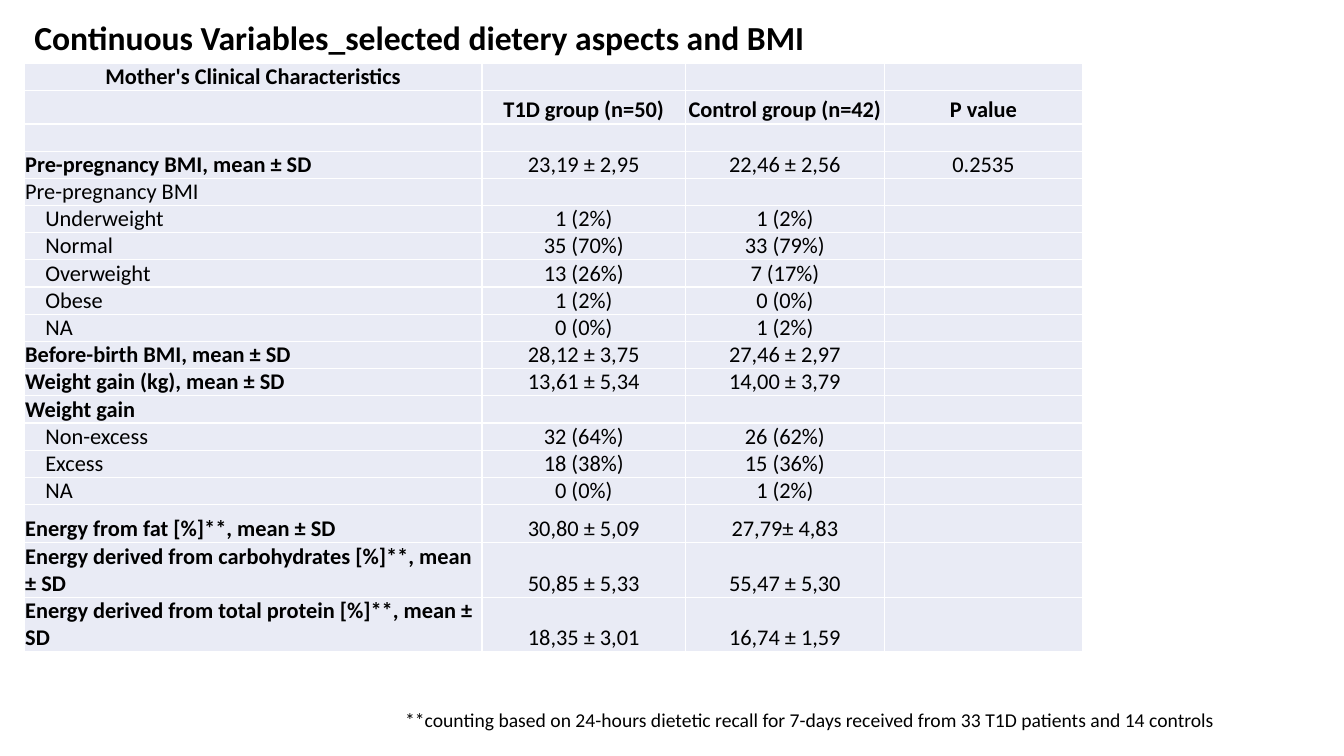
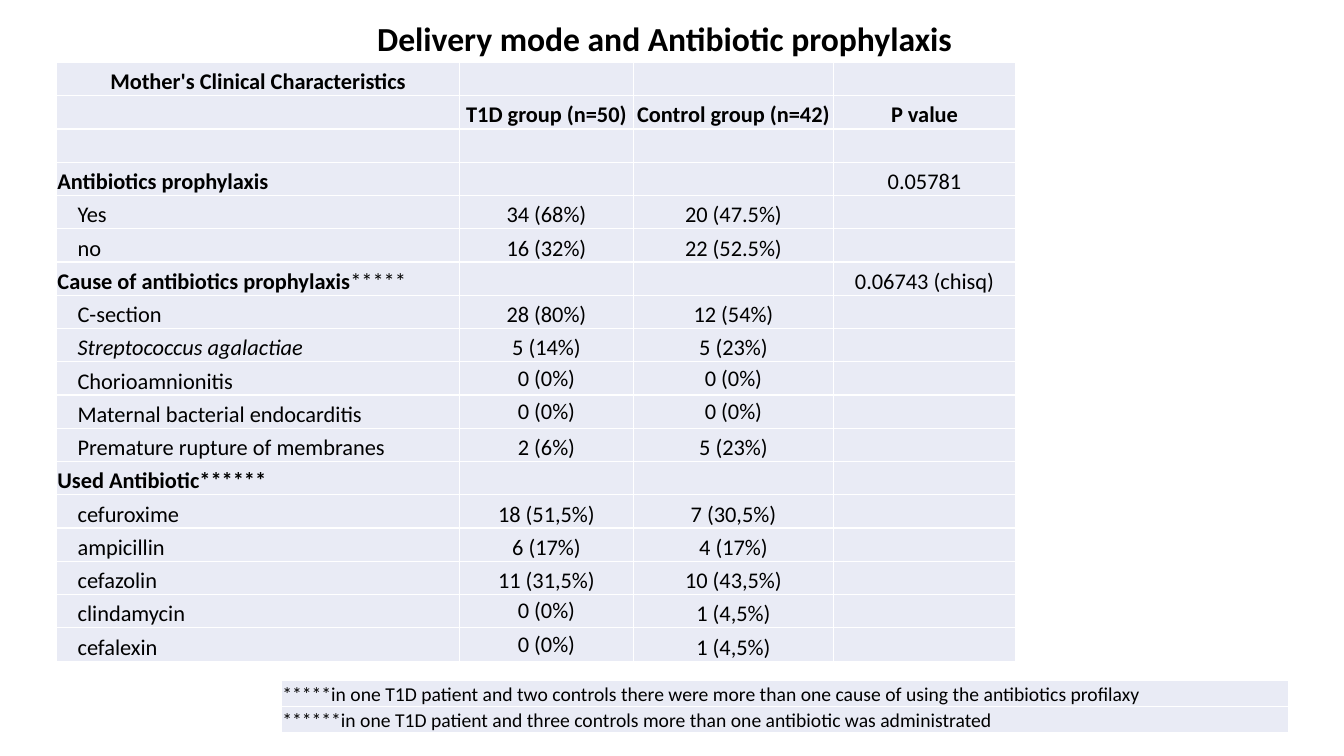
"""Build two slides of clinical tables comparing T1D mothers with controls."""
from dataclasses import dataclass
from typing import Any, NamedTuple

import pptx
import pptx.dml.color
import pptx.enum.text
import pptx.oxml
import pptx.oxml.ns
import pptx.util

EMU_PER_PX = 9144
FONT_NAME = "Calibri"
BLACK = "000000"
WHITE = "FFFFFF"
CELL_FILL = "E9EBF5"
TITLE_LAYOUT = 5
LINE_HEIGHT = 27
CELL_INSET = 1
INDENT_INSET = 21
ZERO_COUNT = "0 (0%)"

ALIGN = pptx.enum.text.PP_ALIGN
ANCHOR = pptx.enum.text.MSO_ANCHOR
AUTO_SIZE = pptx.enum.text.MSO_AUTO_SIZE


class Box(NamedTuple):
    left: int
    top: int
    width: int
    height: int


@dataclass(frozen=True)
class Row:
    label: str = ""
    t1d: str = ""
    control: str = ""
    p_value: str = ""
    bold: bool = False
    italic: bool = False
    indent: bool = False
    suffix: str = ""
    height: int = LINE_HEIGHT


@dataclass(frozen=True)
class ClinicalTable:
    left: int
    top: int
    columns: tuple[int, ...]
    rows: list[Row]
    zero_anchor: Any = ANCHOR.BOTTOM


def heading(label: str, p_value: str = "", **extra: Any) -> Row:
    return Row(label, p_value=p_value, bold=True, **extra)


def measure(label: str, t1d: str, control: str, p_value: str = "", height: int = LINE_HEIGHT) -> Row:
    return Row(label, t1d, control, p_value, bold=True, height=height)


def count(label: str, t1d: str, control: str, italic: bool = False, height: int = LINE_HEIGHT) -> Row:
    return Row(label, t1d, control, italic=italic, indent=True, height=height)


HEADER_LABEL = "Mother's Clinical Characteristics"
HEADER_CELLS = ("", "T1D group (n=50)", "Control group (n=42)", "P value")

BMI_TABLE = ClinicalTable(24, 63, (454, 202, 197, 197), [
    measure("Pre-pregnancy BMI, mean ± SD", "23,19 ± 2,95", "22,46 ± 2,56", "0.2535"),
    Row("Pre-pregnancy BMI"),
    count("Underweight", "1 (2%)", "1 (2%)"),
    count("Normal", "35 (70%)", "33 (79%)"),
    count("Overweight", "13 (26%)", "7 (17%)"),
    count("Obese", "1 (2%)", ZERO_COUNT),
    count("NA", ZERO_COUNT, "1 (2%)"),
    measure("Before-birth BMI, mean ± SD", "28,12 ± 3,75", "27,46 ± 2,97"),
    measure("Weight gain (kg), mean ± SD", "13,61 ± 5,34", "14,00 ± 3,79"),
    heading("Weight gain"),
    count("Non-excess", "32 (64%)", "26 (62%)"),
    count("Excess", "18 (38%)", "15 (36%)"),
    count("NA", ZERO_COUNT, "1 (2%)"),
    measure("Energy from fat [%]**, mean ± SD", "30,80 ± 5,09", "27,79± 4,83", height=38),
    measure("Energy derived from carbohydrates [%]**, mean ± SD",
            "50,85 ± 5,33", "55,47 ± 5,30", height=2 * LINE_HEIGHT),
    measure("Energy derived from total protein [%]**, mean ± SD",
            "18,35 ± 3,01", "16,74 ± 1,59", height=2 * LINE_HEIGHT),
])

ROOMY = 33
ANTIBIOTIC_TABLE = ClinicalTable(56, 62, (400, 172, 199, 180), [
    heading("Antibiotics prophylaxis", "0.05781", height=ROOMY),
    count("Yes", "34 (68%)", "20 (47.5%)", height=ROOMY),
    count("no", "16 (32%)", "22 (52.5%)", height=ROOMY),
    heading("Cause of antibiotics prophylaxis", "0.06743 (chisq)", suffix="*****", height=ROOMY),
    count("C-section", "28 (80%)", "12 (54%)", height=ROOMY),
    count("Streptococcus agalactiae", "5 (14%)", "5 (23%)", italic=True, height=ROOMY),
    count("Chorioamnionitis", ZERO_COUNT, ZERO_COUNT, height=ROOMY),
    count("Maternal bacterial endocarditis", ZERO_COUNT, ZERO_COUNT, height=ROOMY),
    count("Premature rupture of membranes", "2 (6%)", "5 (23%)", height=ROOMY),
    heading("Used Antibiotic******", height=ROOMY),
    count("cefuroxime", "18 (51,5%)", "7 (30,5%)", height=ROOMY),
    count("ampicillin", "6 (17%)", "4 (17%)", height=ROOMY),
    count("cefazolin", "11 (31,5%)", "10 (43,5%)", height=ROOMY),
    count("clindamycin", ZERO_COUNT, "1 (4,5%)", height=ROOMY),
    count("cefalexin", ZERO_COUNT, "1 (4,5%)", height=ROOMY),
], ANCHOR.MIDDLE)

FOOTNOTES = (
    "*****in one T1D patient and two controls there were more than one cause of using the antibiotics profilaxy",
    "******in one T1D patient and three controls more than one antibiotic was administrated",
)


def px(length: int) -> pptx.util.Emu:
    return pptx.util.Emu(length * EMU_PER_PX)


def color(value: str) -> pptx.dml.color.RGBColor:
    return pptx.dml.color.RGBColor.from_string(value)


def apply_format(target: Any, values: dict[str, Any]) -> None:
    for name, value in values.items():
        setattr(target, name, value)


def place(shape: Any, box: Box) -> None:
    apply_format(shape, {name: px(length) for name, length in box._asdict().items()})


def add_run(paragraph: Any, text: str, size: int, bold: bool = False, italic: bool = False) -> None:
    run = paragraph.add_run()
    run.text = text
    apply_format(run.font, {"name": FONT_NAME, "size": pptx.util.Pt(size), "bold": bold, "italic": italic})
    run.font.color.rgb = color(BLACK)


def fill_text(shape: Any, box: Box, text: str, size: int, bold: bool = False) -> None:
    place(shape, box)
    apply_format(shape.text_frame, {
        "word_wrap": True,
        "auto_size": AUTO_SIZE.SHAPE_TO_FIT_TEXT,
        "vertical_anchor": ANCHOR.TOP,
    })
    paragraph = shape.text_frame.paragraphs[0]
    paragraph.alignment = ALIGN.LEFT
    add_run(paragraph, text, size, bold)


def add_titled_slide(presentation: Any, title: str, box: Box) -> Any:
    slide = presentation.slides.add_slide(presentation.slide_layouts[TITLE_LAYOUT])
    fill_text(slide.shapes.title, box, title, 24, True)
    return slide


def add_borders(cell: Any) -> None:
    properties = cell._tc.get_or_add_tcPr()
    for position, side in enumerate(("lnL", "lnR", "lnT", "lnB")):
        properties.insert(position, pptx.oxml.parse_xml(
            f'<a:{side} {pptx.oxml.ns.nsdecls("a")} w="12700"><a:solidFill>'
            f'<a:srgbClr val="{WHITE}"/></a:solidFill></a:{side}>'))


def add_plain_table(slide: Any, left: int, top: int, columns: tuple[int, ...],
                    heights: list[int], size: int) -> Any:
    frame = slide.shapes.add_table(len(heights), len(columns), px(left), px(top),
                                   px(sum(columns)), px(sum(heights)))
    table = frame.table
    apply_format(table, {"first_row": False, "horz_banding": False})
    for column, width in zip(table.columns, columns):
        column.width = px(width)
    for row, height in zip(table.rows, heights):
        row.height = px(height)
    for cell in table.iter_cells():
        apply_format(cell, {
            "margin_left": px(CELL_INSET), "margin_right": px(CELL_INSET),
            "margin_top": 0, "margin_bottom": 0, "vertical_anchor": ANCHOR.BOTTOM,
        })
        cell.fill.solid()
        cell.fill.fore_color.rgb = color(CELL_FILL)
        add_borders(cell)
        cell.text_frame.paragraphs[0]._p.append(pptx.oxml.parse_xml(
            f'<a:endParaRPr {pptx.oxml.ns.nsdecls("a")} sz="{size * 100}"/>'))
    return table


def write_cell(cell: Any, text: str, size: int, bold: bool = False, italic: bool = False,
               alignment: Any = ALIGN.CENTER) -> None:
    if text:
        paragraph = cell.text_frame.paragraphs[0]
        paragraph.alignment = alignment
        add_run(paragraph, text, size, bold, italic)


def add_clinical_table(slide: Any, design: ClinicalTable) -> None:
    line = design.rows[0].height
    heights = [line, ROOMY, line] + [row.height for row in design.rows]
    table = add_plain_table(slide, design.left, design.top, design.columns, heights, 16)
    write_cell(table.cell(0, 0), HEADER_LABEL, 16, True)
    for column, text in enumerate(HEADER_CELLS):
        write_cell(table.cell(1, column), text, 16, True)
    for index, row in enumerate(design.rows, start=3):
        label = table.cell(index, 0)
        label.margin_left = px(INDENT_INSET if row.indent else CELL_INSET)
        write_cell(label, row.label, 16, row.bold, row.italic, ALIGN.LEFT)
        write_cell(label, row.suffix, 16, alignment=ALIGN.LEFT)
        for column, text in enumerate((row.t1d, row.control, row.p_value), start=1):
            cell = table.cell(index, column)
            write_cell(cell, text, 16)
            if text == ZERO_COUNT:
                cell.vertical_anchor = design.zero_anchor


def build_bmi_slide(presentation: Any) -> None:
    slide = add_titled_slide(presentation, "Continuous Variables_selected dietery aspects and BMI",
                             Box(24, 12, 1127, 50))
    add_clinical_table(slide, BMI_TABLE)
    box = Box(392, 697, 843, 34)
    note = slide.shapes.add_textbox(*map(px, box))
    fill_text(note, box, "**counting based on 24-hours dietetic recall for 7-days received "
              "from 33 T1D patients and 14 controls", 14)


def build_antibiotic_slide(presentation: Any) -> None:
    slide = add_titled_slide(presentation, "Delivery mode and Antibiotic prophylaxis",
                             Box(364, 13, 606, 50))
    add_clinical_table(slide, ANTIBIOTIC_TABLE)
    notes = add_plain_table(slide, 279, 675, (999,), [26] * len(FOOTNOTES), 14)
    for index, text in enumerate(FOOTNOTES):
        write_cell(notes.cell(index, 0), text, 14, alignment=ALIGN.LEFT)


def main() -> None:
    presentation = pptx.Presentation()
    apply_format(presentation, {"slide_width": px(1333), "slide_height": px(750)})
    build_bmi_slide(presentation)
    build_antibiotic_slide(presentation)
    presentation.save("out.pptx")


if __name__ == "__main__":
    main()
